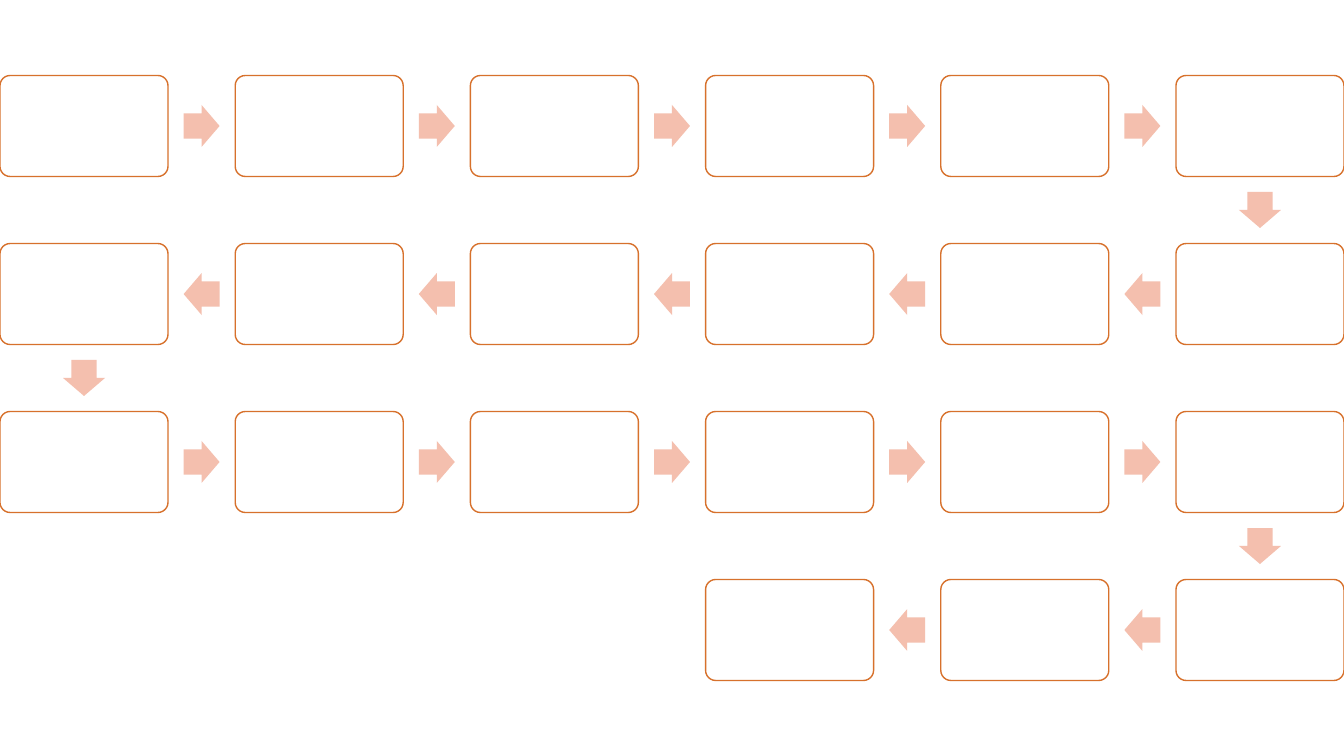
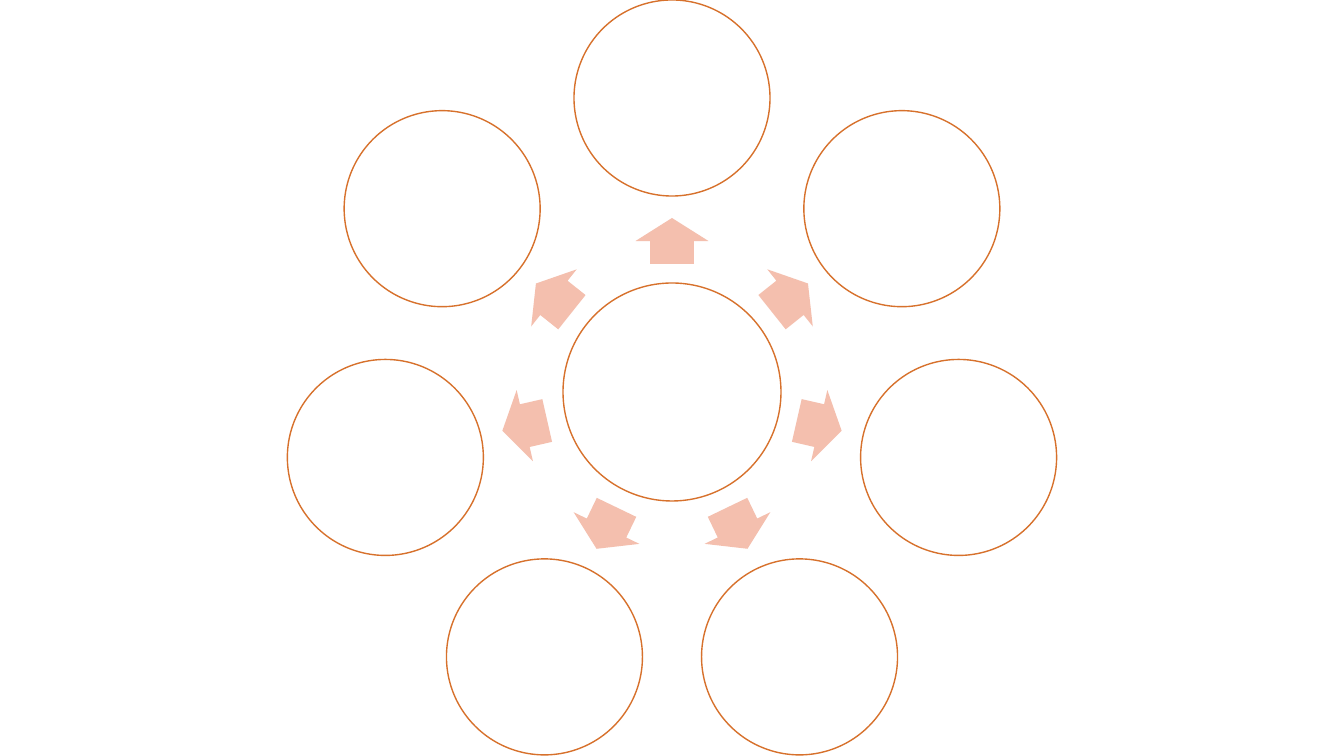
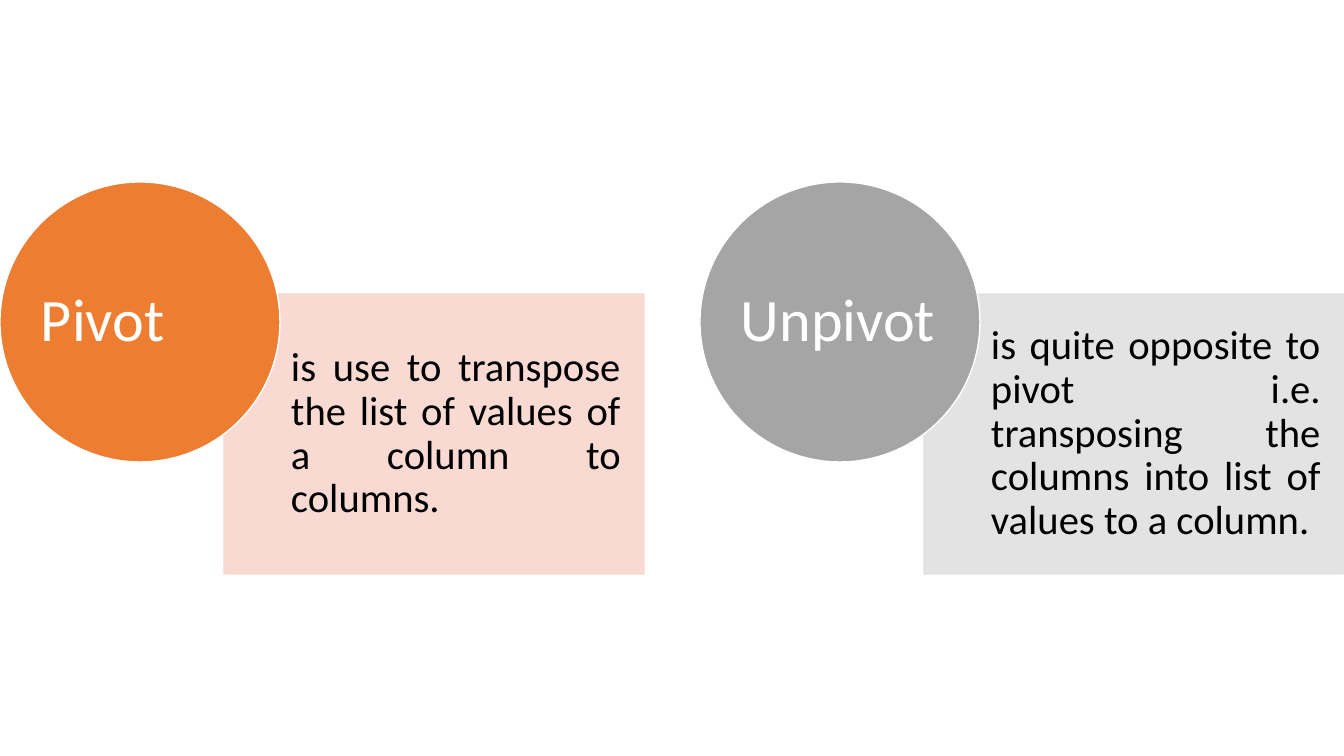
"""Build three diagram slides: a snaking flow, a radial cycle and two definitions."""
import math

import pptx
import pptx.util
from lxml import etree
from pptx.dml.color import RGBColor
from pptx.enum.shapes import MSO_SHAPE
from pptx.enum.text import MSO_ANCHOR, PP_ALIGN
from pptx.oxml.ns import qn

PX = 914400 / 100.8
WHITE = RGBColor(0xFF, 0xFF, 0xFF)
BLACK = RGBColor(0x00, 0x00, 0x00)
RUST = RGBColor(0xD7, 0x71, 0x2C)
PEACH = RGBColor(0xF4, 0xBF, 0xAE)
ORANGE = RGBColor(0xED, 0x7D, 0x31)
BLUSH = RGBColor(0xF8, 0xD7, 0xCE)
GREY = RGBColor(0xA5, 0xA5, 0xA5)
PALE = RGBColor(0xE1, 0xE1, 0xE1)


def put(slide, kind, mid, size, fill, edge=None, turn=0):
    (x, y), (w, h) = mid, size
    shape = slide.shapes.add_shape(
        kind, *(round(n * PX) for n in (x - w / 2, y - h / 2, w, h)))
    shape.shadow.inherit = False
    shape.rotation = turn % 360
    shape.fill.solid()
    shape.fill.fore_color.rgb = fill
    if edge is None:
        shape.line.fill.background()
    else:
        shape.line.color.rgb = edge
        shape.line.width = pptx.util.Pt(1)
    if kind == MSO_SHAPE.RIGHT_ARROW:
        shape.adjustments[0] = 0.6
        shape.adjustments[1] = 0.5
    return shape


def write(shape, text, size, color, left=0, inset=0):
    frame = shape.text_frame
    frame.text = text
    frame.word_wrap = True
    frame.vertical_anchor = MSO_ANCHOR.MIDDLE
    frame.margin_left = round(left * PX)
    frame.margin_top = frame.margin_right = frame.margin_bottom = round(inset * PX)
    para = frame.paragraphs[0]
    para.alignment = PP_ALIGN.JUSTIFY
    para.line_spacing = 0.9
    font = para.runs[0].font
    font.name = "Calibri"
    font.size = pptx.util.Pt(size)
    font.color.rgb = color


deck = pptx.Presentation()
deck.slide_width = round(1344 * PX)
deck.slide_height = round(756 * PX)
flow, cycle, terms = [deck.slides.add_slide(deck.slide_layouts[6]) for _ in range(3)]

COLS, STEPS = 6, 21
span = (1344 - 168) / (COLS - 1)
last = None
for step in range(STEPS):
    row, col = divmod(step, COLS)
    if row % 2:
        col = COLS - 1 - col
    spot = (84 + col * span, 126 + row * 168)
    if last:
        dx, dy = spot[0] - last[0], spot[1] - last[1]
        mid = (last[0] + dx / 2, last[1] + dy / 2)
        put(flow, MSO_SHAPE.RIGHT_ARROW, mid, (36, 42), PEACH,
            turn=math.degrees(math.atan2(dy, dx)))
    box = put(flow, MSO_SHAPE.ROUNDED_RECTANGLE, spot, (168, 101), WHITE, RUST)
    box.adjustments[0] = 0.1
    last = spot

RING = 7
hub = (672, 392)
put(cycle, MSO_SHAPE.OVAL, hub, (218, 218), WHITE, RUST)
for step in range(RING):
    turn = step * 360 / RING - 90
    ux, uy = math.cos(math.radians(turn)), math.sin(math.radians(turn))
    near, far = [(hub[0] + r * ux, hub[1] + r * uy) for r in (151, 294)]
    put(cycle, MSO_SHAPE.RIGHT_ARROW, near, (46, 73), PEACH, turn=turn)
    put(cycle, MSO_SHAPE.OVAL, far, (196, 196), WHITE, RUST)

pairs = [
    ("Pivot", "is use to transpose the list of values of a column to columns.",
     ORANGE, BLUSH),
    ("Unpivot", "is quite opposite to pivot i.e. transposing the columns into "
     "list of values to a column.", GREY, PALE),
]
for num, (term, gloss, dark, light) in enumerate(pairs):
    left = num * 700
    panel = put(terms, MSO_SHAPE.RECTANGLE, (left + 434, 434), (420, 280), light, light)
    for tint in panel.fill._xPr.iter(qn("a:srgbClr")):
        etree.SubElement(tint, qn("a:alpha"), val="90000")
    write(panel, gloss, 29, BLACK, left=67, inset=23)
    disc = put(terms, MSO_SHAPE.OVAL, (left + 140, 322), (280, 280), dark, WHITE)
    write(disc, term, 43, WHITE)

deck.save("out.pptx")
